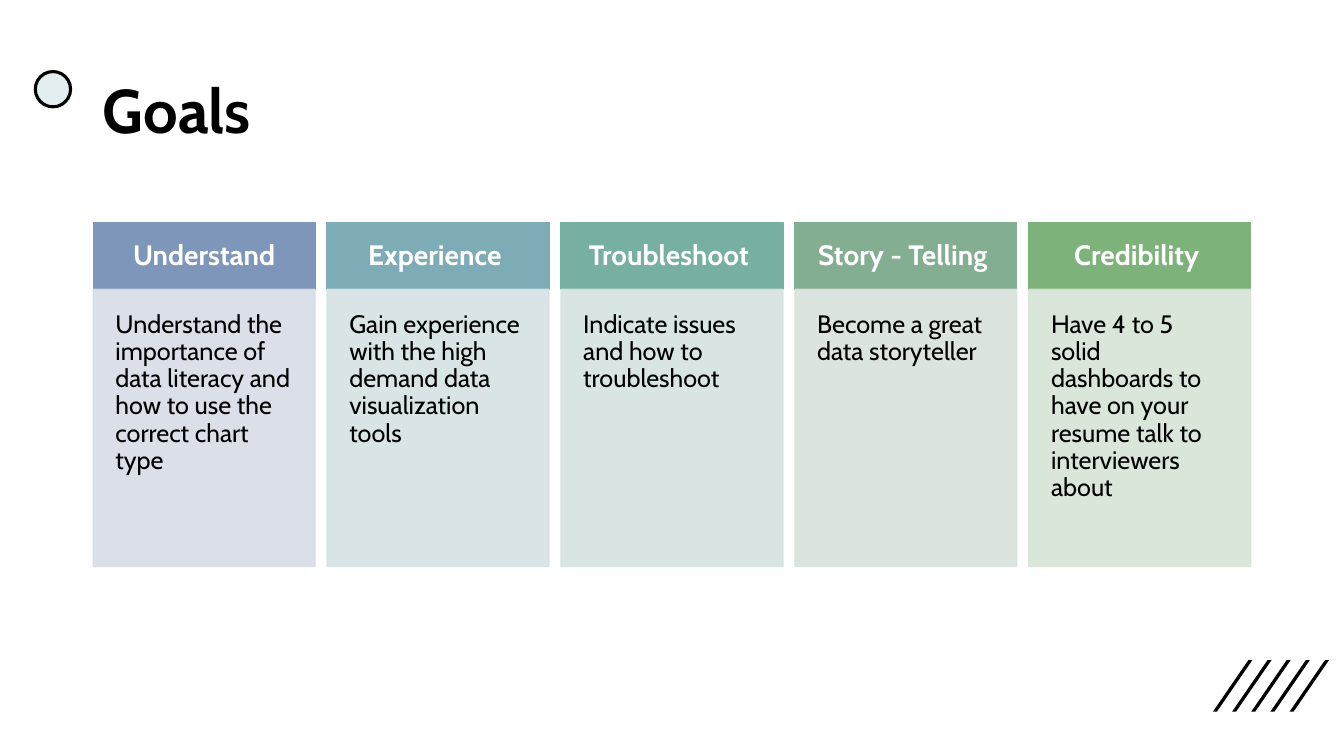
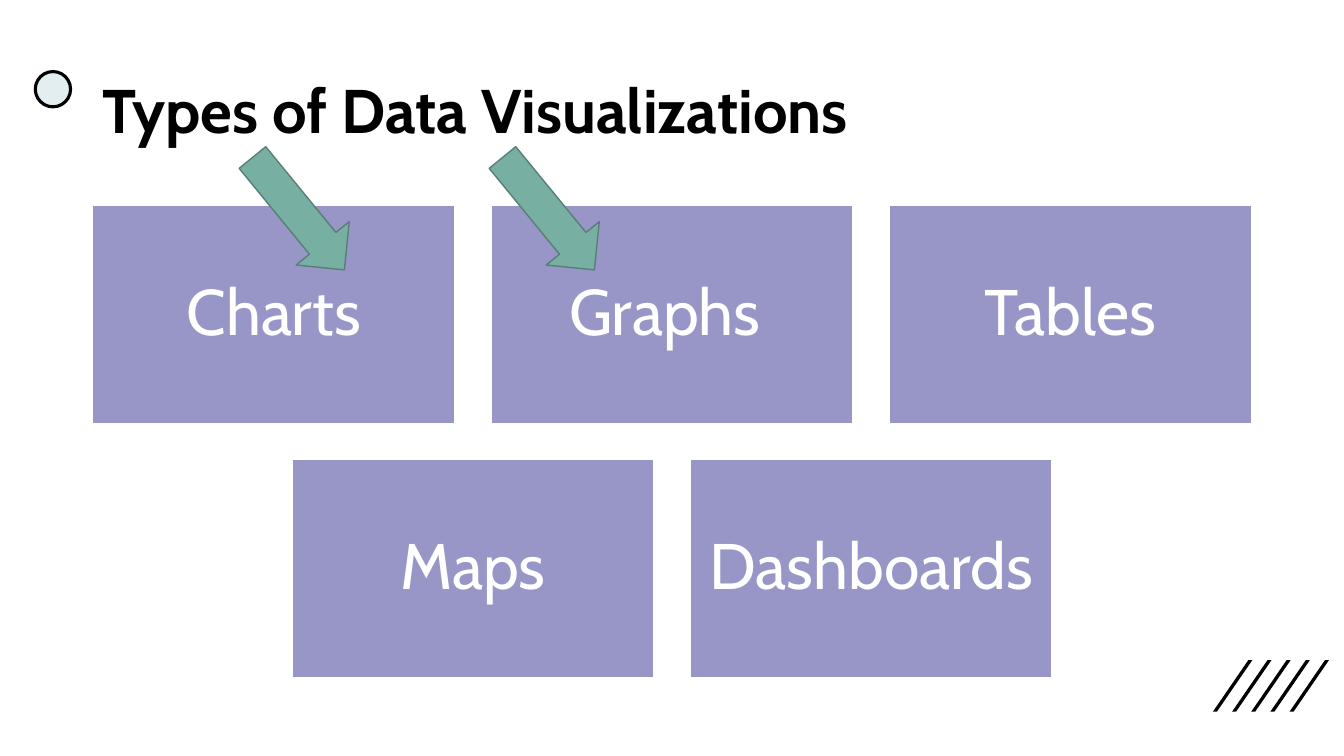
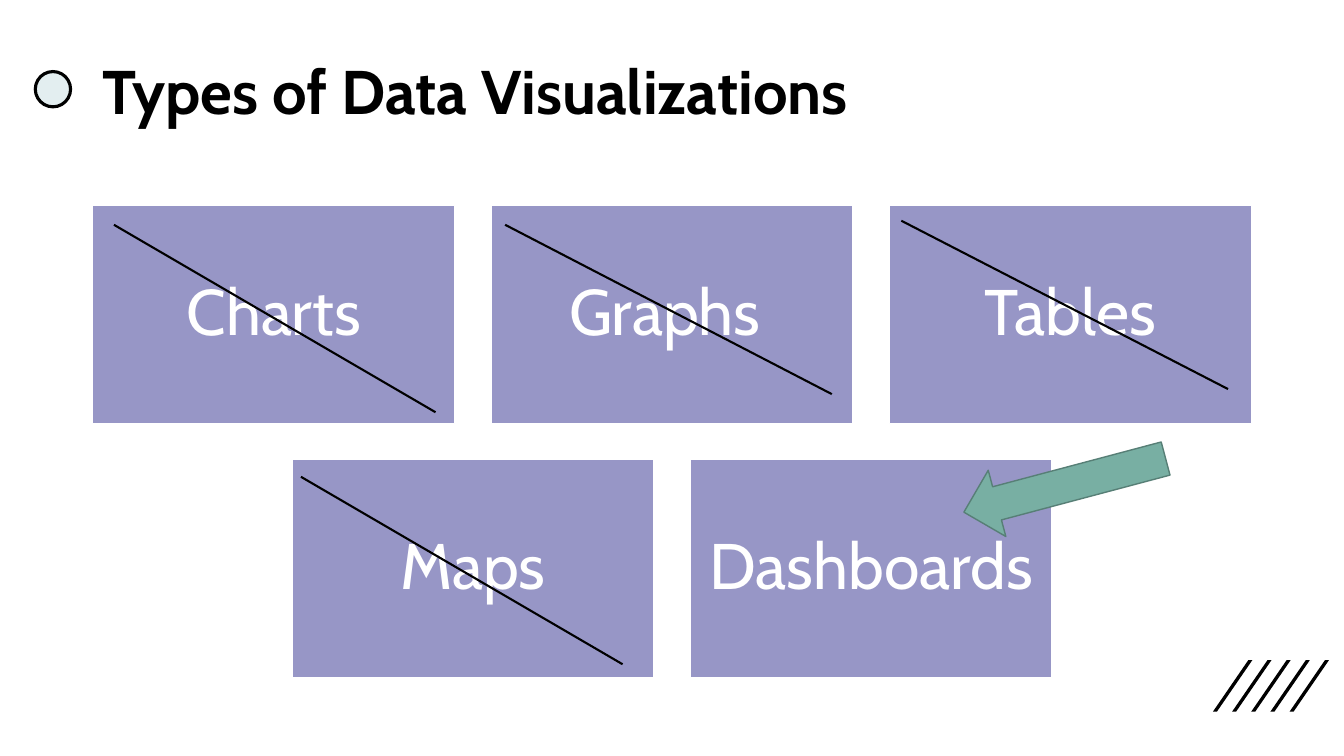
"""Build three slides on the goals and the types of data visualization."""
from dataclasses import dataclass

from lxml import etree
from pptx import Presentation
from pptx.dml.color import RGBColor
from pptx.enum.shapes import MSO_CONNECTOR, MSO_SHAPE
from pptx.enum.text import MSO_ANCHOR, MSO_AUTO_SIZE, PP_ALIGN
from pptx.oxml.ns import qn
from pptx.shapes.autoshape import Shape
from pptx.slide import Slide
from pptx.text.text import TextFrame
from pptx.util import Inches, Pt

RECT, OVAL, DOWN = MSO_SHAPE.RECTANGLE, MSO_SHAPE.OVAL, MSO_SHAPE.DOWN_ARROW
STRAIGHT = MSO_CONNECTOR.STRAIGHT
LEFT, CENTER = PP_ALIGN.LEFT, PP_ALIGN.CENTER
TOP, MIDDLE = MSO_ANCHOR.TOP, MSO_ANCHOR.MIDDLE
FIXED = MSO_AUTO_SIZE.NONE

WIDE, HIGH = 13.33, 7.5
FONT = "Cabin"
HUES = {
    "ink": "000000",
    "paper": "FFFFFF",
    "dot": "E3EEF0",
    "tile": "9796C6",
    "arrow": "78AFA3",
    "edge": "577F76",
}
TOPIC = "Types of Data Visualizations"


@dataclass(frozen=True)
class Box:
    left: float
    top: float
    width: float
    height: float


@dataclass(frozen=True)
class Goal:
    head: str
    body: str
    dark: str
    pale: str


@dataclass(frozen=True)
class Arrow:
    box: Box
    turn: float


@dataclass(frozen=True)
class Strike:
    tile: int
    dx: float
    dy: float
    width: float
    height: float


GOALS = [
    Goal("Understand", "Understand the importance of data literacy and how to use the correct chart type",
         "7D96B9", "D7DCE6"),
    Goal("Experience ", "Gain experience with the high demand data visualization tools",
         "7DACB7", "D5E2E5"),
    Goal("Troubleshoot ", "Indicate issues and how to troubleshoot", "77AFA3", "D5E3E0"),
    Goal("Story - Telling ", "Become a great data storyteller", "83AE92", "D8E2DB"),
    Goal("Credibility ", "Have 4 to 5 solid dashboards to have on your resume talk to interviewers about",
         "7DB27A", "D6E4D6"),
]
TYPES = [["Charts", "Graphs ", "Tables"], ["Maps", "Dashboards"]]
POINTS = [Arrow(Box(x, 1.4, 0.68, 1.44), 320.7) for x in (2.62, 5.1)]
LAST = Arrow(Box(10.22, 3.78, 0.68, 2.07), 75.1)
STRIKES = [
    Strike(0, 0.21, 0.19, 3.19, 1.86),
    Strike(1, 0.14, 0.19, 3.24, 1.68),
    Strike(2, 0.12, 0.15, 3.24, 1.67),
    Strike(3, 0.09, 0.17, 3.19, 1.86),
]


def tint(name: str) -> RGBColor:
    return RGBColor.from_string(HUES.get(name, name))


def spread(count: int, top: float, width: float, height: float, gap: float) -> list[Box]:
    left = (WIDE - count * width - (count - 1) * gap) / 2
    return [Box(left + i * (width + gap), top, width, height) for i in range(count)]


def write(frame: TextFrame, text: str, size: float, hue: str, bold: bool = False,
          align: PP_ALIGN = CENTER, anchor: MSO_ANCHOR = MIDDLE,
          inset: tuple[float, float] = (0.1, 0.05)) -> None:
    frame.word_wrap = True
    frame.auto_size = FIXED
    frame.vertical_anchor = anchor
    frame.margin_left = frame.margin_right = Inches(inset[0])
    frame.margin_top = frame.margin_bottom = Inches(inset[1])
    frame.text = text
    para = frame.paragraphs[0]
    para.alignment = align
    para.line_spacing = 0.9
    font = para.font
    font.name, font.size, font.bold = FONT, Pt(size), bold
    font.color.rgb = tint(hue)


def paint(shape: Shape, fill: str, line: str, weight: float = 1) -> None:
    shape.shadow.inherit = False
    shape.fill.solid()
    shape.fill.fore_color.rgb = tint(fill)
    shape.line.color.rgb = tint(line)
    shape.line.width = Pt(weight)


def draw(slide: Slide, kind: MSO_SHAPE, box: Box, fill: str, line: str, weight: float = 1) -> Shape:
    shape = slide.shapes.add_shape(kind, Inches(box.left), Inches(box.top),
                                   Inches(box.width), Inches(box.height))
    paint(shape, fill, line, weight)
    return shape


def fade(shape: Shape, share: int) -> None:
    for hue in shape._element.spPr.iter(qn("a:srgbClr")):
        etree.SubElement(hue, qn("a:alpha"), val=str(share * 1000))


def add_stripes(slide: Slide) -> None:
    for i in range(5):
        left = 12.03 + 0.19 * i
        spots = [(Inches(left + x), Inches(y))
                 for x, y in ((0.04, 7.06), (0, 7.06), (0.35, 6.55), (0.39, 6.55))]
        path = slide.shapes.build_freeform(*spots[0], scale=1.0)
        path.add_line_segments(spots[1:], close=True)
        stripe = path.convert_to_shape()
        paint(stripe, "ink", "ink")
        stripe.line.fill.background()


def add_slide(deck: Presentation, text: str, top: float = 0.4) -> Slide:
    slide = deck.slides.add_slide(deck.slide_layouts[5])
    title = slide.shapes.title
    title.left, title.top = Inches(0.92), Inches(top)
    title.width, title.height = Inches(11.5), Inches(1.45)
    write(title.text_frame, text, 44, "ink", bold=True, align=LEFT)
    add_stripes(slide)
    draw(slide, OVAL, Box(0.35, 0.71, 0.35, 0.35), "dot", "ink", 2.25)
    return slide


def add_goals(slide: Slide) -> None:
    count = len(GOALS)
    heads = spread(count, 2.21, 2.2, 0.66, 0.12)
    bodies = spread(count, 2.87, 2.2, 2.75, 0.12)
    for goal, upper, lower in zip(GOALS, heads, bodies):
        head = draw(slide, RECT, upper, goal.dark, goal.dark)
        write(head.text_frame, goal.head, 20, "paper", bold=True, inset=(0.17, 0.17))
        body = draw(slide, RECT, lower, goal.pale, goal.pale)
        fade(body, 90)
        write(body.text_frame, goal.body, 18, "ink", align=LEFT, anchor=TOP, inset=(0.22, 0.22))


def add_tiles(slide: Slide) -> list[Box]:
    tiles = []
    for row, names in enumerate(TYPES):
        boxes = spread(len(names), 2.04 + 2.52 * row, 3.59, 2.16, 0.36)
        for name, box in zip(names, boxes):
            tile = draw(slide, RECT, box, "tile", "paper")
            write(tile.text_frame, name, 46, "paper", inset=(0.19, 0.19))
        tiles += boxes
    return tiles


def add_arrow(slide: Slide, arrow: Arrow) -> None:
    draw(slide, DOWN, arrow.box, "arrow", "edge").rotation = arrow.turn


def add_strike(slide: Slide, strike: Strike, tile: Box) -> None:
    left, top = tile.left + strike.dx, tile.top + strike.dy
    line = slide.shapes.add_connector(STRAIGHT, Inches(left), Inches(top),
                                      Inches(left + strike.width), Inches(top + strike.height))
    line.line.color.rgb = tint("ink")
    line.line.width = Pt(1.5)
    etree.SubElement(line._element.spPr, qn("a:effectLst"))


def main() -> None:
    deck = Presentation()
    deck.slide_width, deck.slide_height = Inches(WIDE), Inches(HIGH)

    add_goals(add_slide(deck, "Goals"))

    slide = add_slide(deck, TOPIC)
    add_tiles(slide)
    for arrow in POINTS:
        add_arrow(slide, arrow)

    slide = add_slide(deck, TOPIC, top=0.21)
    tiles = add_tiles(slide)
    add_arrow(slide, LAST)
    for strike in STRIKES:
        add_strike(slide, strike, tiles[strike.tile])

    deck.save("out.pptx")


if __name__ == "__main__":
    main()
